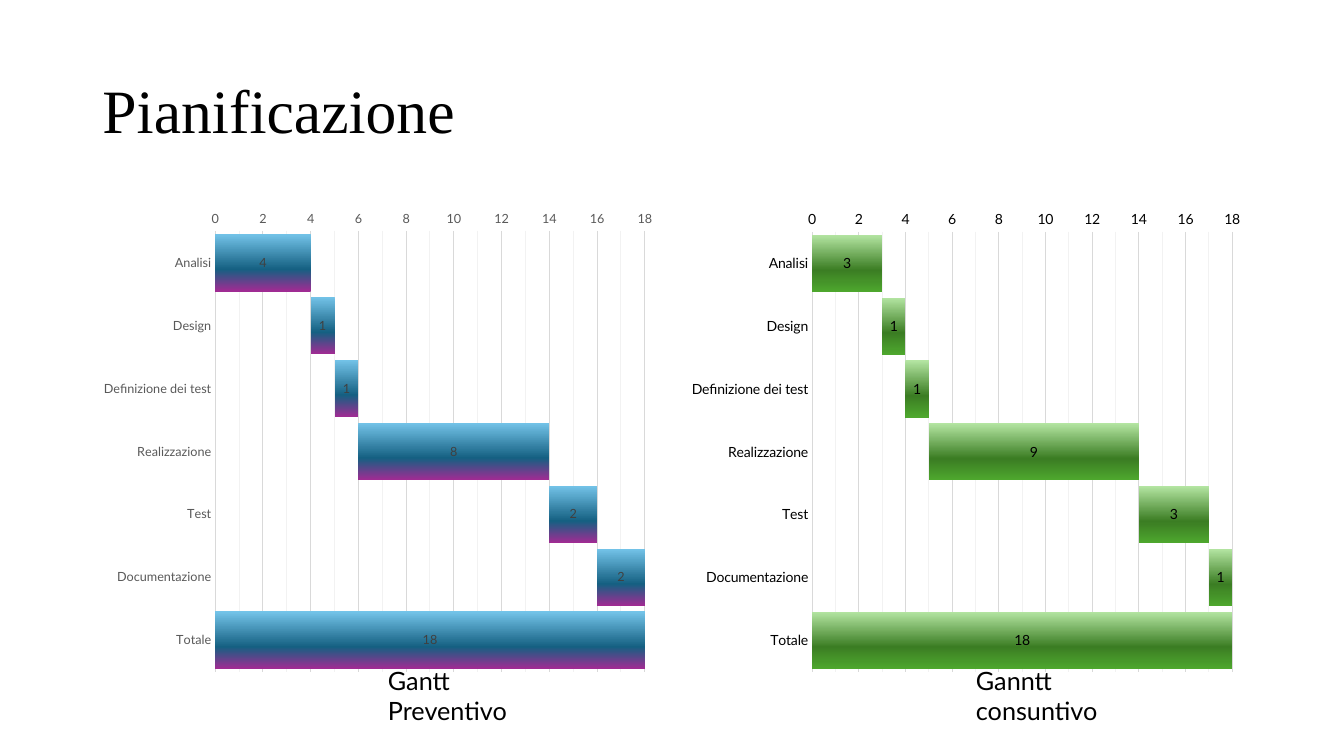
import copy

import pptx
import pptx.chart.data
import pptx.dml.color
import pptx.enum.chart
import pptx.enum.text
import pptx.util

RGB = pptx.dml.color.RGBColor
BLACK = RGB(0x00, 0x00, 0x00)
GRAY = RGB(0x59, 0x59, 0x59)
DARK = RGB(0x40, 0x40, 0x40)
RULE = RGB(0xD9, 0xD9, 0xD9)
FAINT = RGB(0xF2, 0xF2, 0xF2)
SKY = RGB(0x74, 0xC4, 0xE9)
TEAL = RGB(0x15, 0x60, 0x82)
PLUM = RGB(0xA0, 0x2B, 0x93)
MINT = RGB(0xB4, 0xE5, 0xA2)
MOSS = RGB(0x3B, 0x7D, 0x23)
LEAF = RGB(0x4E, 0xA7, 0x2E)

COLS, ROWS = 160, 90
TASKS = ["Analisi", "Design", "Definizione dei test", "Realizzazione",
         "Test", "Documentazione", "Totale"]
PLANS = [
    {"col": 11, "starts": [0, 4, 5, 6, 14, 16, None],
     "days": [4, 1, 1, 8, 2, 2, 18], "shades": [SKY, TEAL, PLUM],
     "size": 9, "axis": GRAY, "label": DARK},
    {"col": 81, "starts": [0, 3, 4, 5, 14, 17, None],
     "days": [3, 1, 1, 9, 3, 1, 18], "shades": [MINT, MOSS, LEAF],
     "size": 10, "axis": BLACK, "label": BLACK},
]
NOTES = [(45, "Gantt Preventivo"), (115, "Ganntt consuntivo")]


def apply(item, values):
    for name, value in values.items():
        setattr(item, name, value)


class Board:
    """Draws on one slide; places are in columns and rows of a fine grid."""

    def __init__(self, deck):
        self.cell = deck.slide_width / COLS, deck.slide_height / ROWS
        self.slide = deck.slides.add_slide(deck.slide_layouts[5])

    def place(self, col, row, wide, high):
        """Return left, top, width and height in EMU."""
        across, down = self.cell
        return (round(col * across), round(row * down),
                round(wide * across), round(high * down))

    def style(self, font, size, color, face="Lato"):
        apply(font, {"name": face, "size": pptx.util.Pt(size), "bold": False})
        font.color.rgb = color

    def title(self, text, *spot):
        shape = self.slide.shapes.title
        apply(shape, dict(zip(("left", "top", "width", "height"),
                              self.place(*spot))))
        frame = shape.text_frame
        frame.text = text
        apply(frame, {"word_wrap": True,
                      "vertical_anchor": pptx.enum.text.MSO_ANCHOR.MIDDLE})
        line = frame.paragraphs[0]
        apply(line, {"line_spacing": 0.9,
                     "alignment": pptx.enum.text.PP_ALIGN.LEFT})
        self.style(line.runs[0].font, 44, BLACK, "Times New Roman")

    def note(self, text, *spot):
        frame = self.slide.shapes.add_textbox(*self.place(*spot)).text_frame
        apply(frame, {"text": text, "word_wrap": True})
        self.style(frame.paragraphs[0].runs[0].font, 18, BLACK)

    def shade(self, bars, colors):
        """Fill bars from top to bottom with three colours."""
        fill = bars.format.fill
        fill.gradient()
        fill.gradient_angle = 270
        stops = bars._element.xpath(".//a:gsLst")[0]
        stops.append(copy.deepcopy(stops[-1]))
        for stop, color, point in zip(fill.gradient_stops, colors,
                                      (0, 0.62, 1)):
            stop.color.rgb = color
            stop.position = point

    def rule(self, line, color):
        line.color.rgb = color
        line.width = pptx.util.Pt(0.75)

    def grid(self, axis):
        """Rule the axis; minor lines take a copy of the major line's format."""
        apply(axis, {"has_major_gridlines": True, "has_minor_gridlines": True})
        line = axis.major_gridlines.format.line
        self.rule(line, FAINT)
        form = axis._element.xpath("c:majorGridlines/c:spPr")[0]
        axis._element.xpath("c:minorGridlines")[0].append(copy.deepcopy(form))
        self.rule(line, RULE)

    def gantt(self, plan, *spot):
        kinds = pptx.enum.chart
        data = pptx.chart.data.CategoryChartData()
        data.categories = TASKS
        data.add_series("Series 1", plan["starts"])
        data.add_series("Series 2", plan["days"])
        chart = self.slide.shapes.add_chart(
            kinds.XL_CHART_TYPE.BAR_STACKED, *self.place(*spot), data).chart
        apply(chart, {"has_legend": False, "has_title": False})
        self.style(chart.font, 10, BLACK)
        plot = chart.plots[0]
        apply(plot, {"gap_width": 10, "overlap": 100,
                     "vary_by_categories": False})

        tasks, scale = chart.category_axis, chart.value_axis
        for axis in (tasks, scale):
            apply(axis, {"major_tick_mark": kinds.XL_TICK_MARK.NONE,
                         "minor_tick_mark": kinds.XL_TICK_MARK.NONE})
            self.style(axis.tick_labels.font, plan["size"], plan["axis"])
        tasks.reverse_order = True
        self.rule(tasks.format.line, RULE)
        apply(scale, {"minimum_scale": 0, "maximum_scale": 18,
                      "major_unit": 2, "minor_unit": 1})
        scale.format.line.fill.background()
        self.grid(scale)

        starts, days = plot.series
        starts.format.fill.background()
        self.shade(days, plan["shades"])
        labels = days.data_labels
        apply(labels, {"show_value": True,
                       "position": kinds.XL_LABEL_POSITION.CENTER})
        self.style(labels.font, plan["size"], plan["label"])


def main():
    deck = pptx.Presentation()
    apply(deck, {"slide_width": pptx.util.Inches(13.33),
                 "slide_height": pptx.util.Inches(7.5)})
    board = Board(deck)
    board.title("Pianificazione", 11, 4.8, 138, 17.4)
    for plan in PLANS:
        board.gantt(plan, plan["col"], 24, 68, 57.1)
    for col, text in NOTES:
        board.note(text, col, 78.6, 24, 4.8)
    deck.save("out.pptx")


if __name__ == "__main__":
    main()
